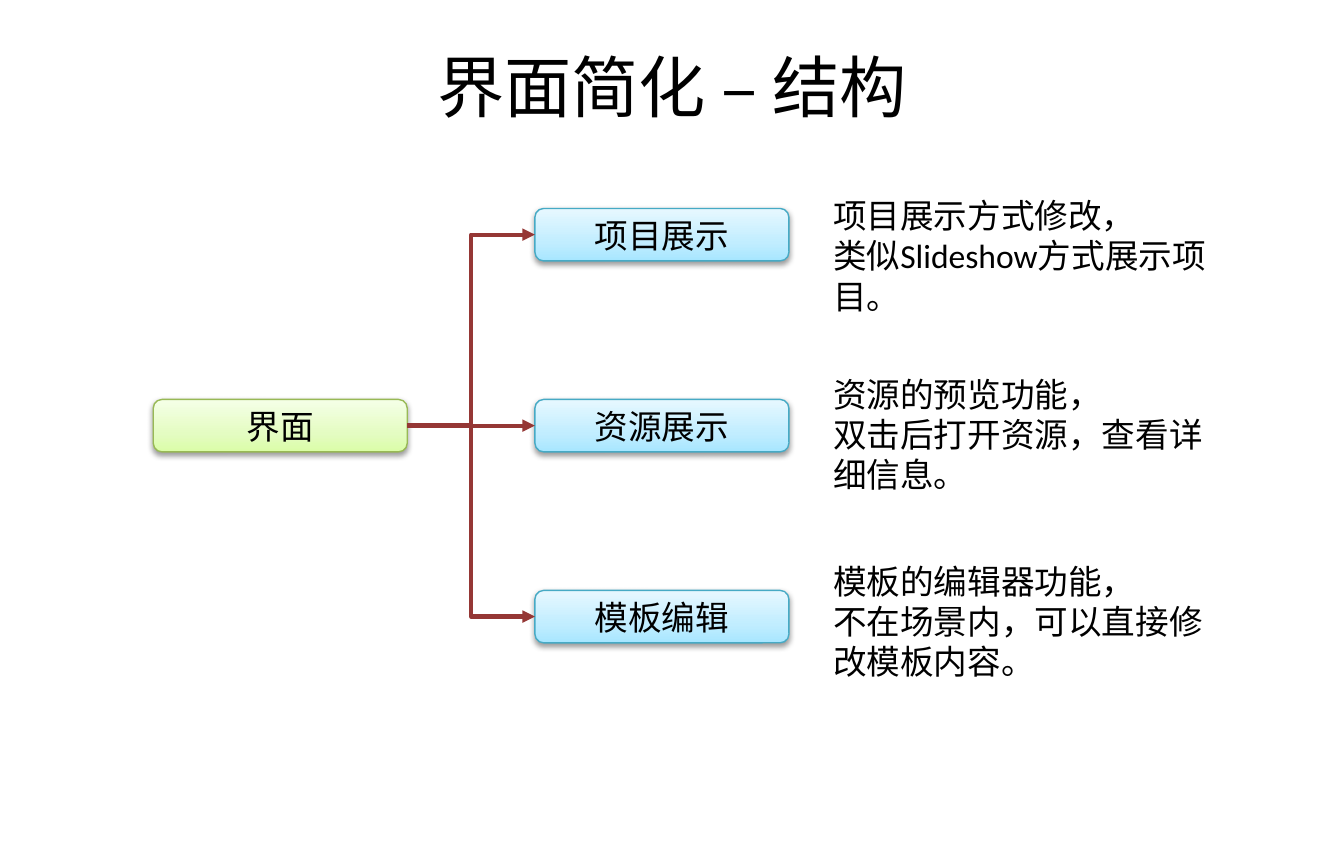
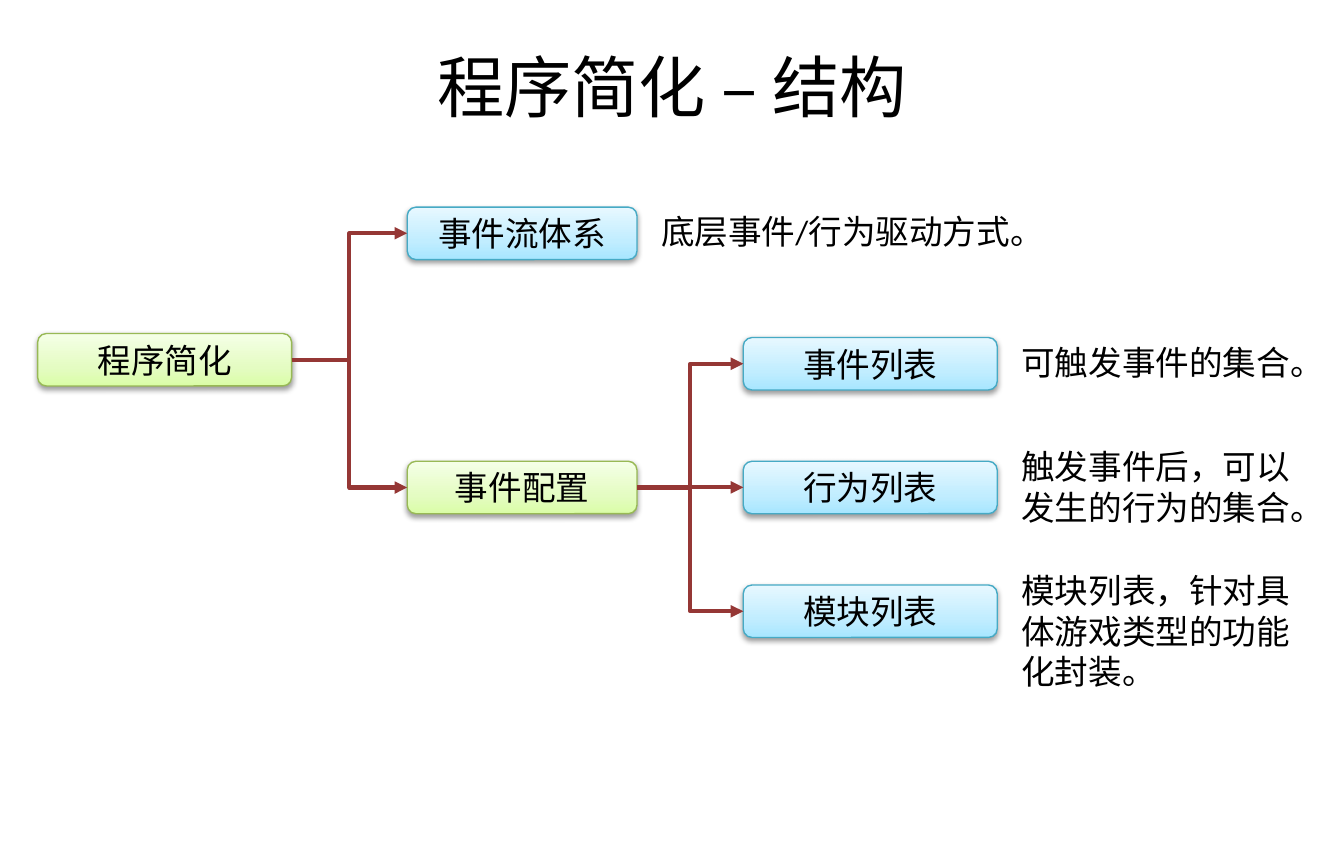
from pptx import Presentation
from pptx.dml.color import RGBColor as Rgb
from pptx.enum.shapes import MSO_CONNECTOR as Link, MSO_SHAPE as Kind
from pptx.enum.text import MSO_ANCHOR as Anchor, MSO_AUTO_SIZE as Auto, PP_ALIGN as Align
from pptx.oxml.ns import qn
from pptx.util import Inches, Pt
from lxml.etree import SubElement as Sub

# Gradient stops (percent, colour) from bottom to top, and outline
GREEN = ([(0, "DAFDA7"), (35, "E4FCC2"), (100, "F5FFE7")], "98B955")
BLUE = ([(0, "A7E6FF"), (35, "C1EDFF"), (100, "E7F8FF")], "46AAC5")
BLACK, RED = "000000", "953735"
LEFT, RIGHT = 1, 3  # connection sites of a box


def color(code):
    return Rgb.from_string(code)


def write(frame, text, size=18, font="Calibri", ink=BLACK, align=Align.LEFT, anchor=Anchor.TOP):
    frame.word_wrap = True
    frame.vertical_anchor = anchor
    para = frame.paragraphs[0]
    para.text = text
    para.alignment = align
    for run in para.runs:
        run.font.size = Pt(size)
        run.font.name = font
        run.font.color.rgb = color(ink)


class Deck:
    def __init__(self, width, height):
        self.file = Presentation()
        self.file.slide_width = Inches(width)
        self.file.slide_height = Inches(height)
        self.slide = None

    def page(self, title):
        self.slide = self.file.slides.add_slide(self.file.slide_layouts[6])
        head = self.area(0.5, 0.26, 9, 0.75)
        write(head.text_frame, title, size=36, align=Align.CENTER, anchor=Anchor.MIDDLE)

    def area(self, left, top, width, height):
        return self.slide.shapes.add_textbox(*map(Inches, (left, top, width, height)))

    def note(self, text, left, top, width, lines=1):
        frame = self.area(left, top, width, 0.1 + 0.3 * lines).text_frame
        write(frame, text)
        frame.auto_size = Auto.SHAPE_TO_FIT_TEXT

    def box(self, text, left, top, style=BLUE, width=1.89):
        stops, edge = style
        node = self.slide.shapes.add_shape(
            Kind.ROUNDED_RECTANGLE, *map(Inches, (left, top, width, 0.39)))
        node.line.color.rgb = color(edge)
        node.line.width = Pt(0.75)
        self.shade(node, stops)
        self.shadow(node)
        write(node.text_frame, text, align=Align.CENTER, anchor=Anchor.MIDDLE)
        return node

    def shade(self, node, stops):
        node.fill.gradient()
        node.fill.gradient_angle = 90
        ramp = node._element.spPr.find(qn("a:gradFill")).find(qn("a:gsLst"))
        for old in list(ramp):
            ramp.remove(old)
        for spot, code in stops:
            stop = Sub(ramp, qn("a:gs"), pos=str(spot * 1000))
            Sub(stop, qn("a:srgbClr"), val=code)

    def shadow(self, node):
        node.shadow.inherit = False
        glow = Sub(node._element.spPr.find(qn("a:effectLst")), qn("a:outerShdw"),
                   blurRad=str(Pt(3.1)), dist=str(Pt(1.6)), dir="5400000", rotWithShape="0")
        Sub(Sub(glow, qn("a:srgbClr"), val=BLACK), qn("a:alpha"), val="38000")

    def link(self, start, *ends):
        for end in ends:
            line = self.slide.shapes.add_connector(Link.ELBOW, 0, 0, 0, 0)
            line.begin_connect(start, RIGHT)
            line.end_connect(end, LEFT)
            line.line.color.rgb = color(RED)
            line.line.width = Pt(2.25)
            props = line._element.spPr
            Sub(props.find(qn("a:ln")), qn("a:tailEnd"), type="triangle")
            Sub(props, qn("a:effectLst"))


def main():
    deck = Deck(10, 6.41)

    # Interface: one root, three parts with notes
    deck.page("界面简化 – 结构")
    root = deck.box("界面", 1.14, 2.97, GREEN)
    parts = [
        ("项目展示", "项目展示方式修改，\v类似Slideshow方式展示项目。", 1.4),
        ("资源展示", "资源的预览功能，\v双击后打开资源，查看详细信息。", 2.73),
        ("模板编辑", "模板的编辑器功能，\v不在场景内，可以直接修改模板内容。", 4.12),
    ]
    for row, (name, text, top) in enumerate(parts):
        deck.link(root, deck.box(name, 3.98, 1.55 + 1.42 * row))
        deck.note(text, 6.1, top, 2.99, lines=3)

    # Program: two branches, the second with three lists
    deck.page("程序简化 – 结构")
    root = deck.box("程序简化", 0.28, 2.48, GREEN)
    flow = deck.box("事件流体系", 3.03, 1.54, width=1.71)
    setup = deck.box("事件配置", 3.03, 3.43, GREEN, width=1.71)
    deck.link(root, flow, setup)
    deck.note("底层事件/行为驱动方式。", 4.82, 1.52, 2.99)
    lists = [
        ("事件列表", "可触发事件的集合。", 2.49),
        ("行为列表", "触发事件后，可以发生的行为的集合。", 3.27),
        ("模块列表", "模块列表，针对具体游戏类型的功能化封装。", 4.19),
    ]
    for row, (name, text, top) in enumerate(lists):
        deck.link(setup, deck.box(name, 5.53, 2.51 + 0.92 * row))
        deck.note(text, 7.5, top, 2.32, lines=row + 1)

    deck.file.save("out.pptx")


if __name__ == "__main__":
    main()
